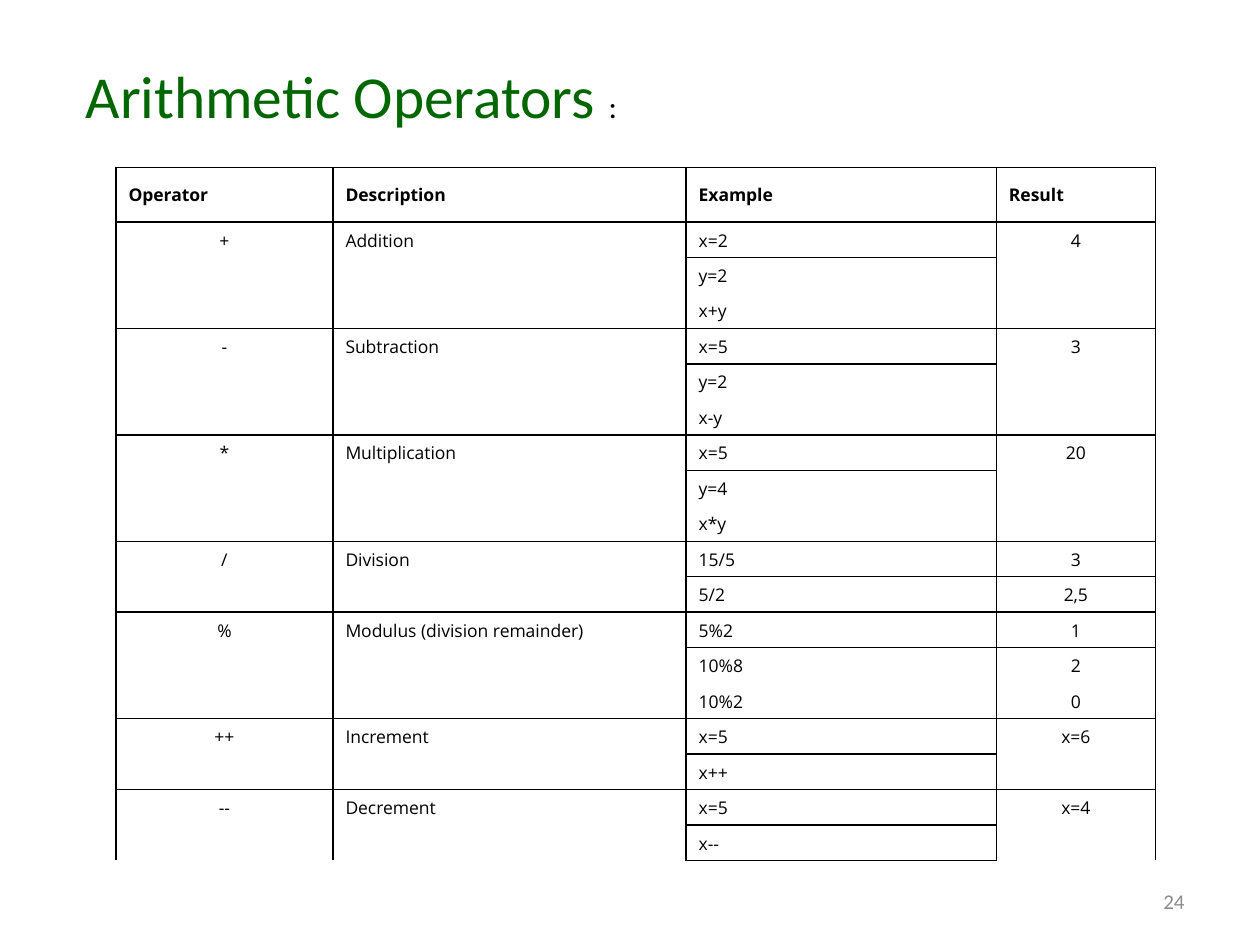
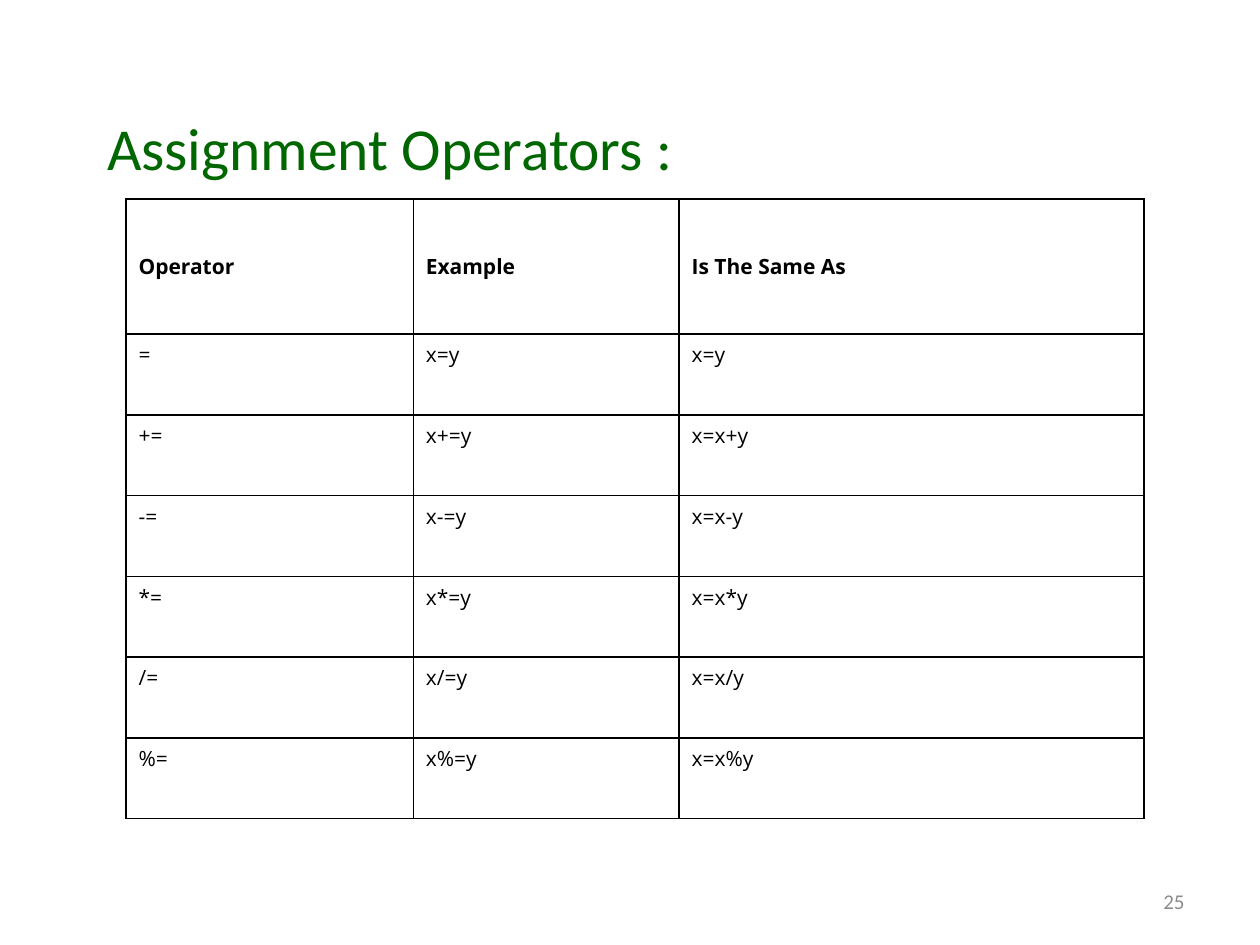
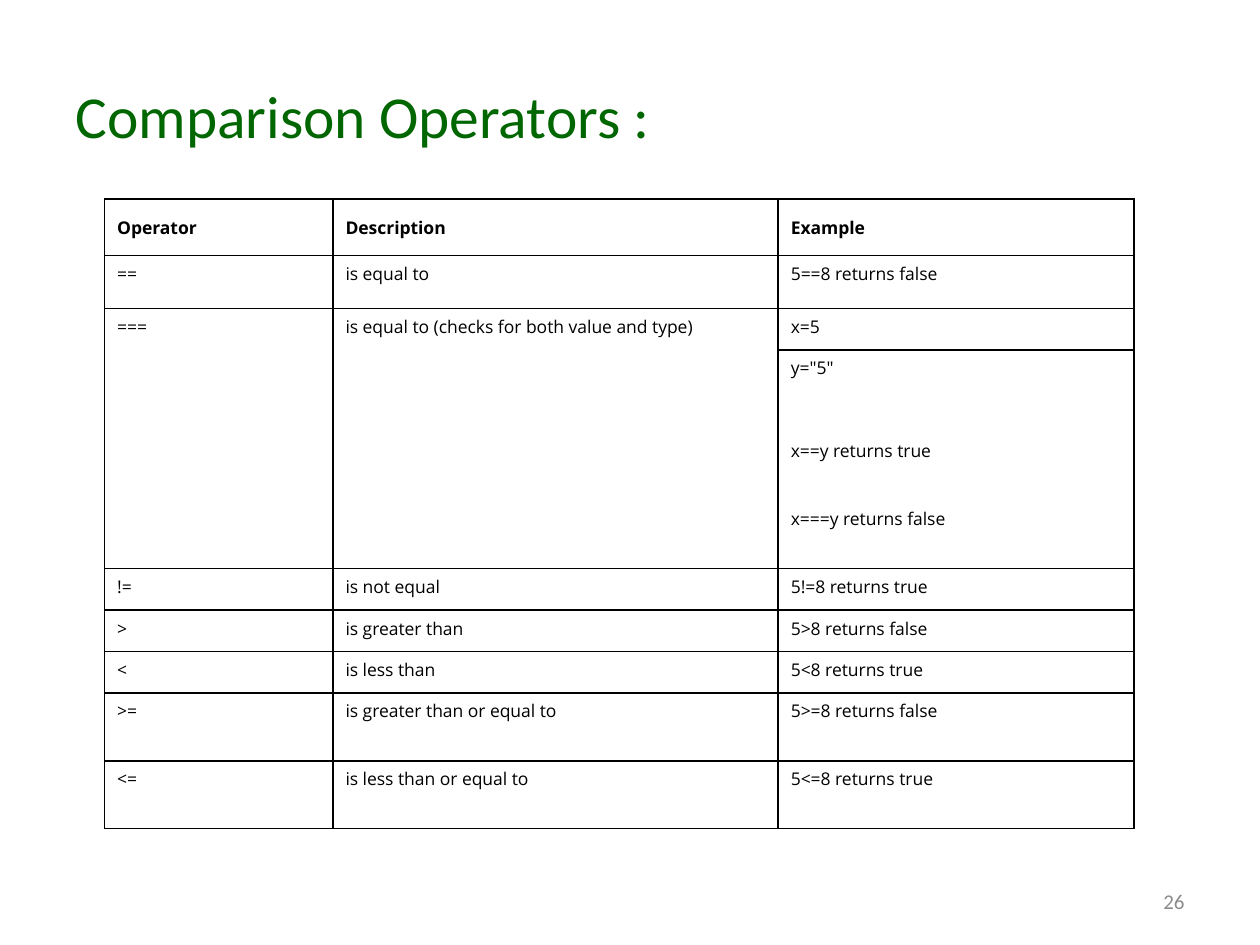
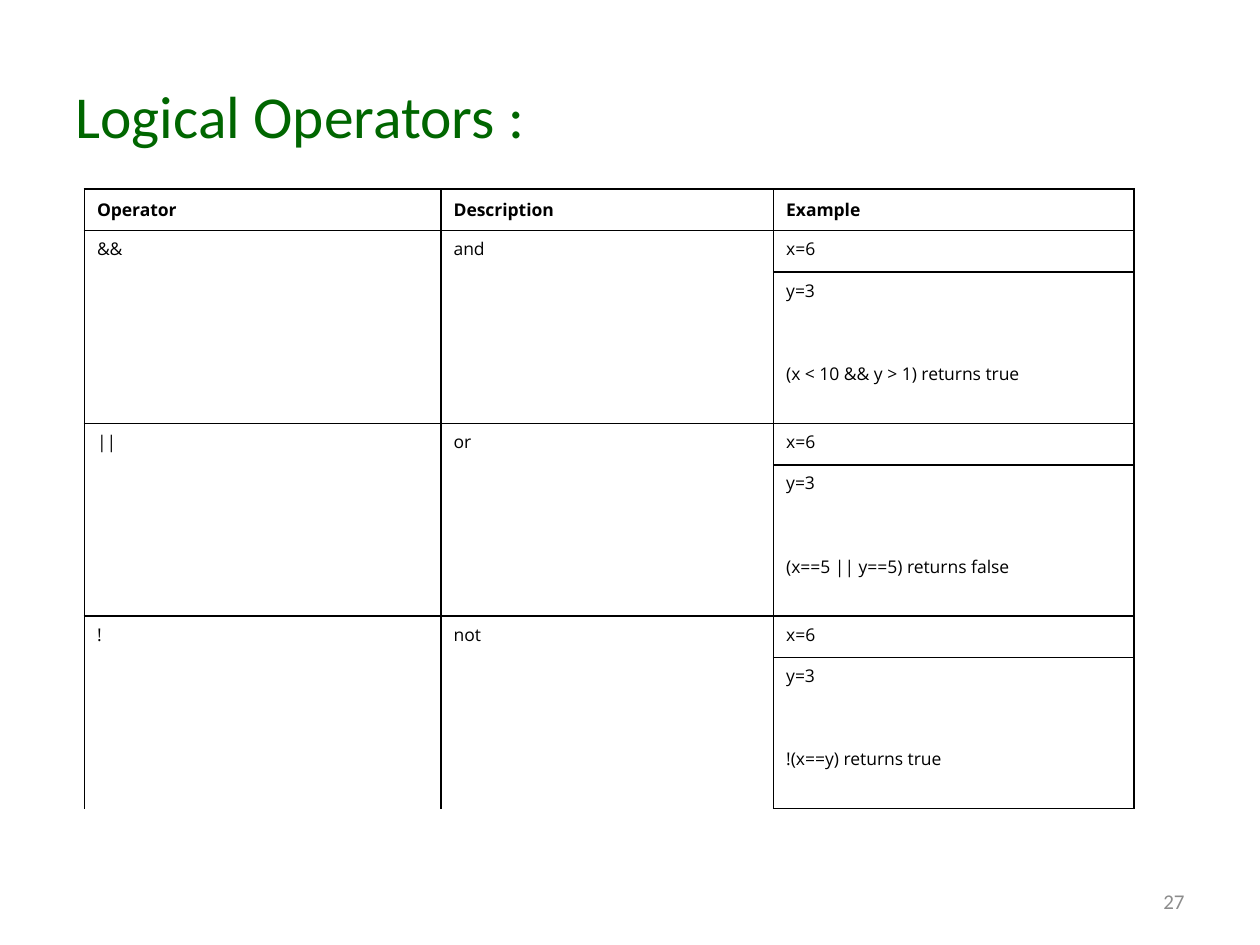
from dataclasses import dataclass

from lxml import etree
from pptx import Presentation
from pptx.dml.color import RGBColor
from pptx.enum.text import MSO_ANCHOR, PP_ALIGN
from pptx.oxml.ns import qn
from pptx.util import Inches, Pt

LEFT, CENTER, RIGHT = PP_ALIGN.LEFT, PP_ALIGN.CENTER, PP_ALIGN.RIGHT
TOP, MIDDLE = MSO_ANCHOR.TOP, MSO_ANCHOR.MIDDLE
TITLE_ONLY = 5
FIRST_NUMBER = 24
PLAIN_TABLE = "{2D5ABB26-0587-4C30-8999-92F81FD0307C}"


@dataclass(frozen=True)
class Theme:
    green: RGBColor = RGBColor(0x00, 0x66, 0x00)
    black: RGBColor = RGBColor(0x00, 0x00, 0x00)
    gray: RGBColor = RGBColor(0x8C, 0x8C, 0x8C)
    white: RGBColor = RGBColor(0xFF, 0xFF, 0xFF)
    heading_font: str = "Calibri"
    table_font: str = "Open Sans"
    title_size: int = 34
    colon_size: int = 18
    number_size: int = 12
    border: int = 1


THEME = Theme()

# Each group is one operator: a string fills the group, a tuple gives one line per row
ARITHMETIC = [
    ("+", "Addition", ("x=2", "y=2", "x+y"), "4"),
    ("-", "Subtraction", ("x=5", "y=2", "x-y"), "3"),
    ("*", "Multiplication", ("x=5", "y=4", "x*y"), "20"),
    ("/", "Division", ("15/5", "5/2"), ("3", "2,5")),
    ("%", "Modulus (division remainder)", ("5%2", "10%8", "10%2"), ("1", "2", "0")),
    ("++", "Increment", ("x=5", "x++"), "x=6"),
    ("--", "Decrement", ("x=5", "x--"), "x=4"),
]
ASSIGNMENT = [("=", "x=y", "x=y")] + [
    (f"{sign}=", f"x{sign}=y", f"x=x{sign}y") for sign in "+-*/%"
]
COMPARISON = [
    ("==", "is equal to", "5==8 returns false"),
    ("===", "is equal to (checks for both value and type)",
     ("x=5", 'y="5"', "", "x==y returns true", "x===y returns false")),
    ("!=", "is not equal", "5!=8 returns true"),
    (">", "is greater than", "5>8 returns false"),
    ("<", "is less than", "5<8 returns true"),
    (">=", "is greater than or equal to", "5>=8 returns false"),
    ("<=", "is less than or equal to", "5<=8 returns true"),
]
LOGICAL = [
    (sign, word, ("x=6", "y=3", "", result))
    for sign, word, result in (
        ("&&", "and", "(x < 10 && y > 1) returns true"),
        ("||", "or", "(x==5 || y==5) returns false"),
        ("!", "not", "!(x==y) returns true"),
    )
]


def style_run(run, font, size, color, bold=False):
    run.font.name = font
    run.font.size = Pt(size)
    run.font.color.rgb = color
    run.font.bold = bold


def add_title(page, text, left, top, width, colon=""):
    title = page.shapes.title
    title.left, title.top = Inches(left), Inches(top)
    title.width, title.height = Inches(width), Inches(0.67)
    title.text_frame.text = text
    title.text_frame.vertical_anchor = TOP
    paragraph = title.text_frame.paragraphs[0]
    paragraph.alignment = LEFT
    style_run(paragraph.runs[0], THEME.heading_font, THEME.title_size, THEME.green)
    if colon:
        run = paragraph.add_run()
        run.text = colon
        style_run(run, THEME.heading_font, THEME.colon_size, THEME.black)


def add_page_number(page, number):
    box = page.shapes.add_textbox(Inches(7.17), Inches(6.95), Inches(2.33), Inches(0.4))
    frame = box.text_frame
    frame.word_wrap = True
    frame.vertical_anchor = MIDDLE
    frame.text = str(number)
    paragraph = frame.paragraphs[0]
    paragraph.alignment = RIGHT
    run = paragraph.runs[0]
    style_run(run, THEME.heading_font, THEME.number_size, THEME.gray)
    # Turn the run into a live slide number field
    field = etree.SubElement(paragraph._p, qn("a:fld"), type="slidenum",
                             id="{B6F15528-21DE-4FAA-801E-634DDDAF4B2B}")
    for part in list(run._r):
        field.append(part)
    paragraph._p.remove(run._r)


def set_borders(cell, sides):
    properties = cell._tc.get_or_add_tcPr()
    for side in sides:
        line = etree.SubElement(properties, qn(f"a:ln{side}"), w=str(Pt(THEME.border)))
        fill = etree.SubElement(line, qn("a:solidFill"))
        etree.SubElement(fill, qn("a:srgbClr"), val=str(THEME.black))


def fill_cell(cell, text, size, sides, alignment=LEFT, header=False):
    set_borders(cell, sides)
    cell.fill.solid()
    cell.fill.fore_color.rgb = THEME.white
    cell.vertical_anchor = MIDDLE if header else TOP
    cell.margin_bottom = Inches(0.05 if header else 0.03)
    cell.text_frame.text = text
    paragraph = cell.text_frame.paragraphs[0]
    paragraph.alignment = alignment
    for run in paragraph.runs:
        style_run(run, THEME.table_font, size, THEME.black, header)
    if not text:
        # Keep an empty line as low as a written one
        etree.SubElement(paragraph._p, qn("a:endParaRPr"), sz=str(size * 100))


def share_out(parts, total, weights):
    for part, weight in zip(parts, weights):
        size = Inches(total * weight / sum(weights))
        if hasattr(part, "width"):
            part.width = size
        else:
            part.height = size


def add_operator_table(page, area, headings, groups, columns, rows, size=10, centered=()):
    left, top, width, height = area
    frame = page.shapes.add_table(len(rows), len(columns), Inches(left), Inches(top),
                                  Inches(width), Inches(height))
    table = frame.table
    table._tbl.tblPr.find(qn("a:tableStyleId")).text = PLAIN_TABLE
    table.first_row = table.horz_banding = False
    share_out(table.columns, width, columns)
    share_out(table.rows, height, rows)

    for column, heading in enumerate(headings):
        fill_cell(table.cell(0, column), heading, size, "LRTB", header=True)

    first = 1
    for group in groups:
        count = max(len(entry) if isinstance(entry, tuple) else 1 for entry in group)
        for column, entry in enumerate(group):
            merged = isinstance(entry, str)
            lines = (entry,) + ("",) * (count - 1) if merged else entry
            alignment = CENTER if column in centered else LEFT
            for index, text in enumerate(lines):
                sides = "LR" + "T" * (index == 0) + "B" * (index == count - 1)
                fill_cell(table.cell(first + index, column), text, size, sides, alignment)
            if merged and count > 1:
                table.cell(first, column).merge(table.cell(first + count - 1, column))
        first += count


def main():
    deck = Presentation()
    deck.slide_width, deck.slide_height = Inches(10), Inches(7.5)
    deck.element.set("firstSlideNum", str(FIRST_NUMBER))
    layout = deck.slide_layouts[TITLE_ONLY]
    pages = [deck.slides.add_slide(layout) for _ in range(4)]
    arithmetic, assignment, comparison, logical = pages
    described = ("Operator", "Description", "Example")

    # Arithmetic operators
    add_title(arithmetic, "Arithmetic Operators ", 0.58, 0.42, 8.83, colon=":")
    add_operator_table(arithmetic, (0.92, 1.33, 8.25, 5.5), described + ("Result",),
                       ARITHMETIC, (1.72, 2.8, 2.46, 1.26), [0.43] + [0.28] * 18,
                       centered=(0, 3))

    # Assignment operators
    add_title(assignment, "Assignment Operators : ", 0.75, 0.83, 8.5)
    add_operator_table(assignment, (1, 1.58, 8.08, 4.92),
                       ("Operator", "Example", "Is The Same As"),
                       ASSIGNMENT, (2.28, 2.11, 3.69), [1.07] + [0.64] * 6, size=12)

    # Comparison operators
    add_title(comparison, "Comparison Operators :", 0.5, 0.58, 8.92)
    add_operator_table(comparison, (0.83, 1.58, 8.17, 5), described, COMPARISON,
                       (1.81, 3.53, 2.82),
                       [0.45, 0.42] + ([0.33] * 3 + [0.54] * 2) * 2)

    # Logical operators
    add_title(logical, "Logical Operators :", 0.5, 0.58, 9.17)
    add_operator_table(logical, (0.67, 1.5, 8.33, 4.92), described, LOGICAL,
                       (2.83, 2.64, 2.86), [0.33] + [0.33, 0.33, 0.33, 0.54] * 3)

    for number, page in enumerate(pages, FIRST_NUMBER):
        add_page_number(page, number)
    deck.save("out.pptx")


main()
